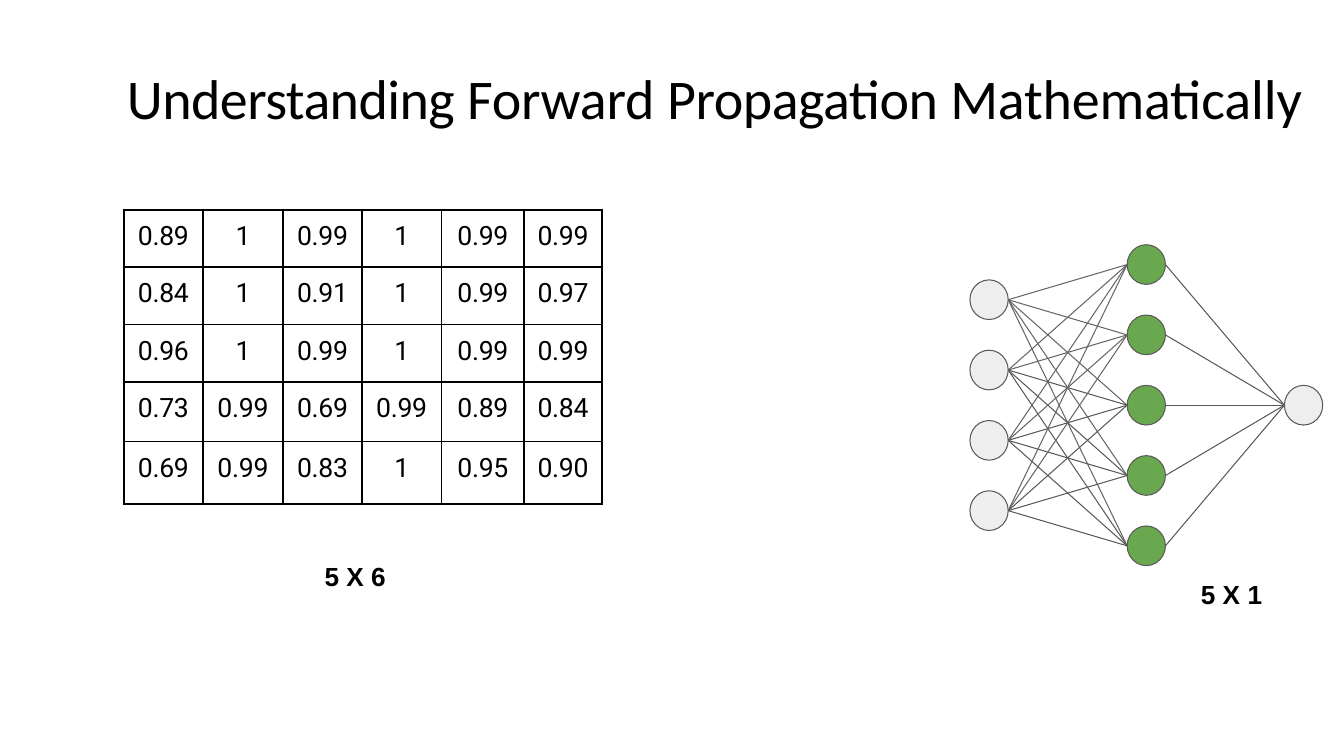
from dataclasses import dataclass
from itertools import pairwise, product
from typing import Any

from lxml.etree import SubElement as Sub
from pptx import Presentation
from pptx.dml.color import RGBColor
from pptx.enum.shapes import MSO_CONNECTOR as Connector, MSO_SHAPE as Preset
from pptx.enum.text import MSO_ANCHOR as Anchor, PP_ALIGN as Align
from pptx.oxml.ns import qn
from pptx.slide import Slide
from pptx.util import Emu, Inches, Pt

WIDTH, HEIGHT = Inches(13.33), Inches(7.5)

BLACK = RGBColor(0x00, 0x00, 0x00)
OUTLINE = RGBColor(0x59, 0x59, 0x59)
LINK = RGBColor(0x66, 0x66, 0x66)
PALE = RGBColor(0xEE, 0xEE, 0xEE)
GREEN = RGBColor(0x6A, 0xA8, 0x4F)

TITLE_FONT = {"name": "Calibri", "size": Pt(40)}
SIZE_FONT = {"name": "Arial", "size": Pt(18.7), "bold": True}
VALUE_FONT = {"name": "Roboto", "size": Pt(19)}

ACTIVATIONS = (
    "0.89 1 0.99 1 0.99 0.99",
    "0.84 1 0.91 1 0.99 0.97",
    "0.96 1 0.99 1 0.99 0.99",
    "0.73 0.99 0.69 0.99 0.89 0.84",
    "0.69 0.99 0.83 1 0.95 0.90",
)
MATRIX_LEFT, MATRIX_TOP = 9.23, 27.73
MATRIX_COLUMNS = (5.85, 6, 5.85, 5.93, 6.15, 5.78)
MATRIX_ROWS = (7.6, 7.6, 7.6, 7.87, 8.27)

NETWORK_LEFT, NETWORK_MIDDLE = 73.59, 53.6
LAYER_PITCH, NODE_PITCH = 11.7, 9.3
NODE_WIDTH, NODE_HEIGHT = 2.85, 5.25


@dataclass(frozen=True)
class Caption:
    left: float
    top: float
    width: float
    height: float
    inset_left: float
    inset_top: float
    runs: tuple[tuple[str, float], ...]
    font: dict[str, Any]
    anchor: Anchor = Anchor.TOP


@dataclass(frozen=True)
class Layer:
    column: int
    nodes: int
    color: RGBColor

    def center(self, node: int) -> tuple[float, float]:
        row = node - (self.nodes - 1) / 2
        return (NETWORK_LEFT + self.column * LAYER_PITCH,
                NETWORK_MIDDLE + row * NODE_PITCH)


TITLE = Caption(
    6.3, 4.93, 90.85, 12.27, 3.15, 3.45,
    (("Understanding ", -0.4), ("Forward ", -0.1),
     ("Propagation ", -0.3), ("Mathematically", -0.1)),
    TITLE_FONT, Anchor.MIDDLE)
LAYER_SIZE = Caption(89.2, 76, 4.8, 4.4, 0.15, 0.5,
                     (("5 X ", 0), ("1", -0.7)), SIZE_FONT)
MATRIX_SIZE = Caption(24, 73.6, 4.8, 4.4, 0.15, 0.5,
                      (("5 X ", 0), ("6", -0.7)), SIZE_FONT)
LAYERS = (Layer(0, 4, PALE), Layer(1, 5, GREEN), Layer(2, 1, PALE))


def across(share: float) -> Emu:
    return Emu(round(WIDTH * share / 100))


def down(share: float) -> Emu:
    return Emu(round(HEIGHT * share / 100))


def apply(target: Any, values: dict[str, Any]) -> None:
    for name, value in values.items():
        setattr(target, name, value)


def add_run(paragraph: Any, text: str, spacing: float, font: dict[str, Any]) -> None:
    run = paragraph.add_run()
    run.text = text
    apply(run.font, font)
    run.font.color.rgb = BLACK
    run.font._element.set("spc", str(round(spacing * 100)))


def draw_caption(slide: Slide, caption: Caption) -> None:
    frame = slide.shapes.add_textbox(
        across(caption.left), down(caption.top),
        across(caption.width), down(caption.height)).text_frame
    apply(frame, {
        "word_wrap": True, "vertical_anchor": caption.anchor,
        "margin_left": across(caption.inset_left),
        "margin_top": down(caption.inset_top),
        "margin_right": 0, "margin_bottom": 0})
    for text, spacing in caption.runs:
        add_run(frame.paragraphs[0], text, spacing, caption.font)


def draw_node(slide: Slide, layer: Layer, node: int) -> None:
    x, y = layer.center(node)
    neuron = slide.shapes.add_shape(
        Preset.OVAL, across(x - NODE_WIDTH / 2), down(y - NODE_HEIGHT / 2),
        across(NODE_WIDTH), down(NODE_HEIGHT))
    neuron.shadow.inherit = False
    neuron.fill.solid()
    neuron.fill.fore_color.rgb = layer.color
    neuron.line.color.rgb = OUTLINE
    neuron.line.width = Pt(0.75)


def draw_link(slide: Slide, start: tuple[float, float],
              end: tuple[float, float], color: RGBColor) -> None:
    link = slide.shapes.add_connector(
        Connector.STRAIGHT,
        across(start[0] + NODE_WIDTH / 2), down(start[1]),
        across(end[0] - NODE_WIDTH / 2), down(end[1]))
    link.line.color.rgb = color
    link.line.width = Pt(0.75)
    Sub(link._element.spPr, qn("a:effectLst"))


def draw_network(slide: Slide) -> None:
    for layer in LAYERS:
        for node in range(layer.nodes):
            draw_node(slide, layer, node)
    for source, target in pairwise(LAYERS):
        for i, j in product(range(source.nodes), range(target.nodes)):
            lighter = source.column == 0 and (i == 0 or j < 2)
            draw_link(slide, source.center(i), target.center(j),
                      LINK if lighter else OUTLINE)


def add_borders(cell: Any) -> None:
    properties = cell._tc.get_or_add_tcPr()
    for side in ("lnL", "lnR", "lnT", "lnB"):
        border = Sub(properties, qn(f"a:{side}"), w=str(Pt(1.5)))
        fill = Sub(border, qn("a:solidFill"))
        Sub(fill, qn("a:srgbClr"), val=str(BLACK))


def draw_matrix(slide: Slide) -> None:
    matrix = slide.shapes.add_table(
        len(MATRIX_ROWS), len(MATRIX_COLUMNS),
        across(MATRIX_LEFT), down(MATRIX_TOP),
        across(sum(MATRIX_COLUMNS)), down(sum(MATRIX_ROWS))).table
    apply(matrix, {"first_row": False, "horz_banding": False})
    for column, share in zip(matrix.columns, MATRIX_COLUMNS):
        column.width = across(share)
    for row, share, values in zip(matrix.rows, MATRIX_ROWS, ACTIVATIONS):
        row.height = down(share)
        for cell, value in zip(row.cells, values.split()):
            apply(cell, {"margin_left": 0, "margin_right": 0,
                         "margin_top": down(1.47), "margin_bottom": 0})
            add_borders(cell)
            cell.fill.background()
            paragraph = cell.text_frame.paragraphs[0]
            paragraph.alignment = Align.CENTER
            add_run(paragraph, value, -0.5 if value == "1" else -0.2, VALUE_FONT)


def main() -> None:
    deck = Presentation()
    apply(deck, {"slide_width": WIDTH, "slide_height": HEIGHT})
    slide = deck.slides.add_slide(deck.slide_layouts[6])
    draw_network(slide)
    for caption in (LAYER_SIZE, TITLE, MATRIX_SIZE):
        draw_caption(slide, caption)
    draw_matrix(slide)
    deck.save("out.pptx")


if __name__ == "__main__":
    main()
